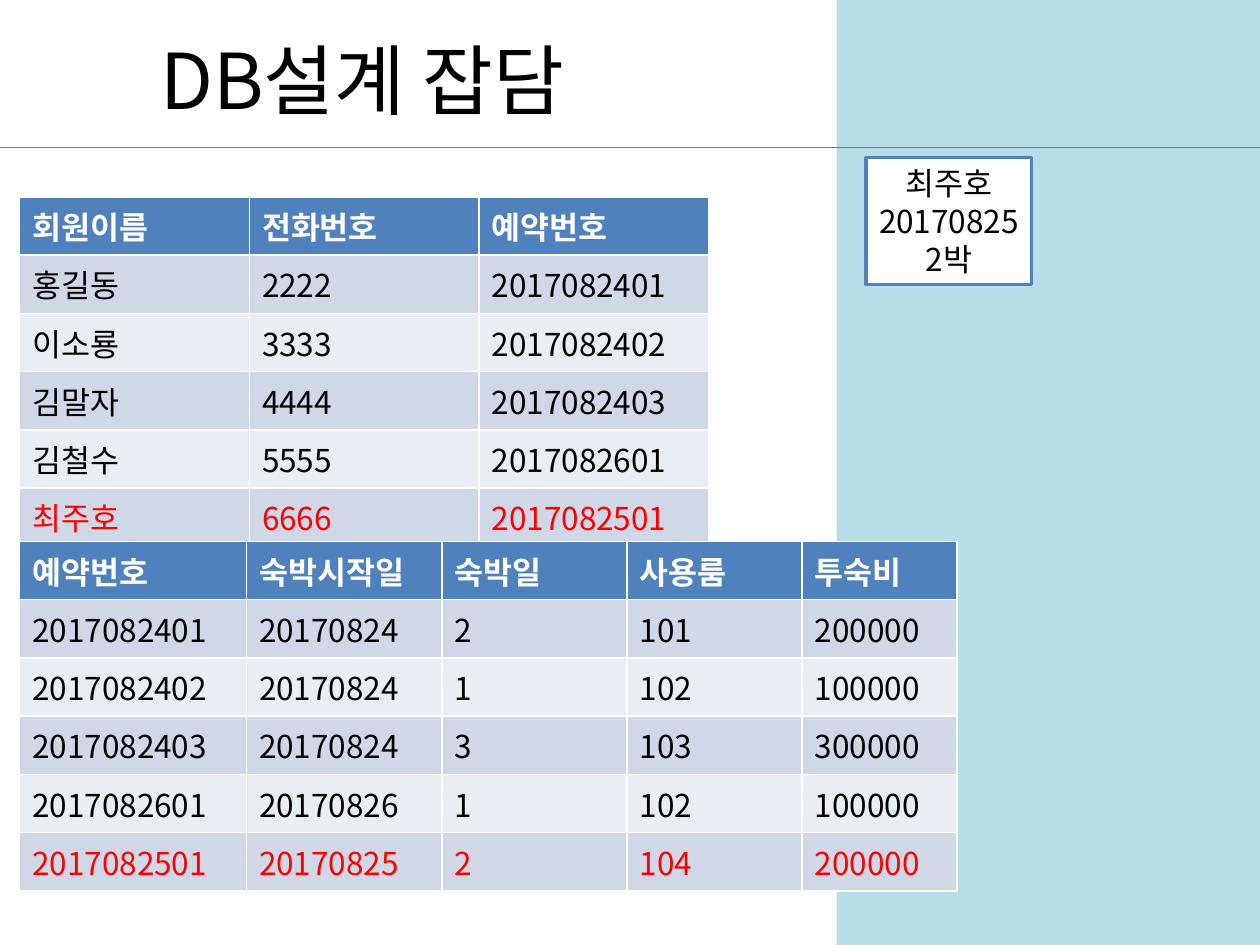
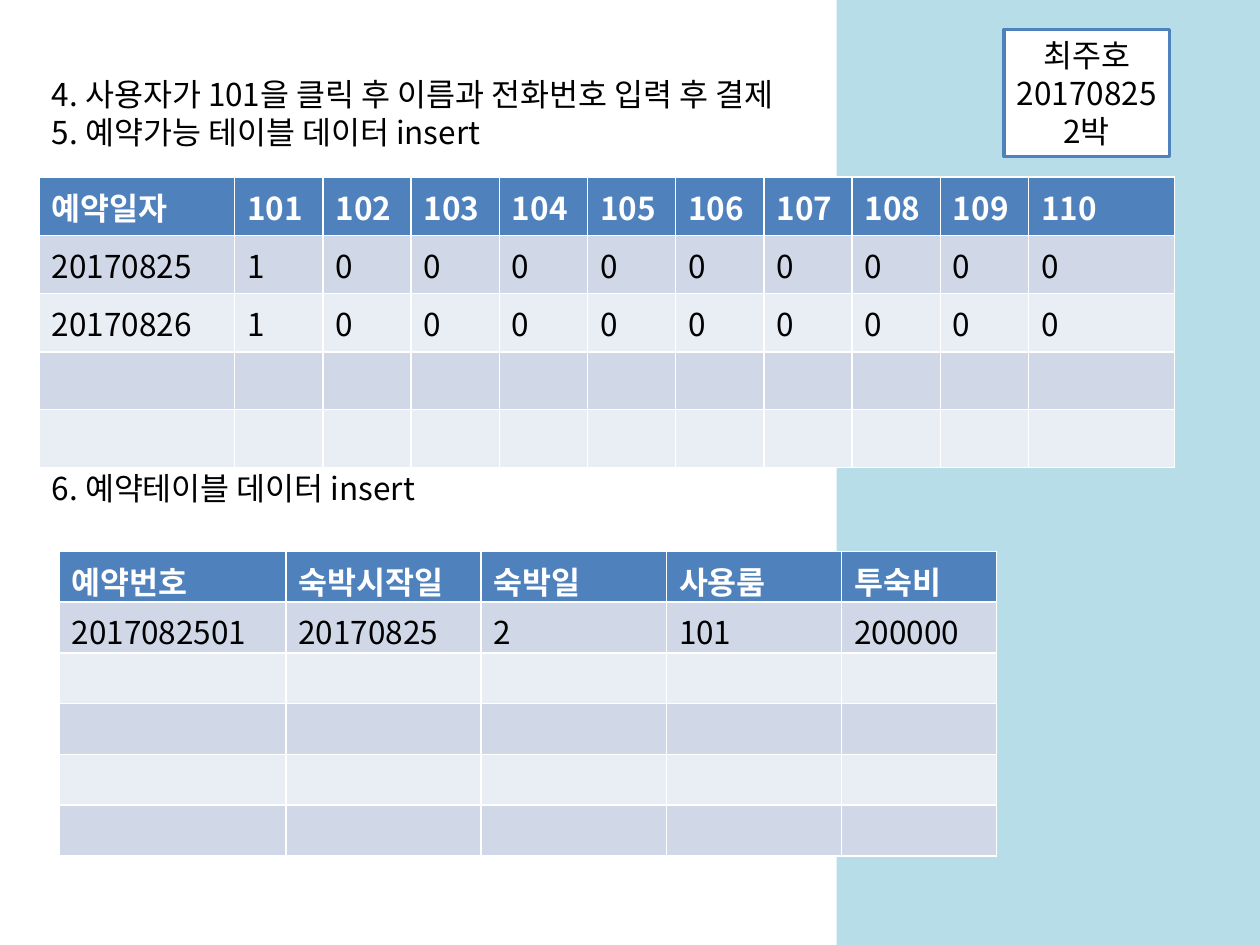
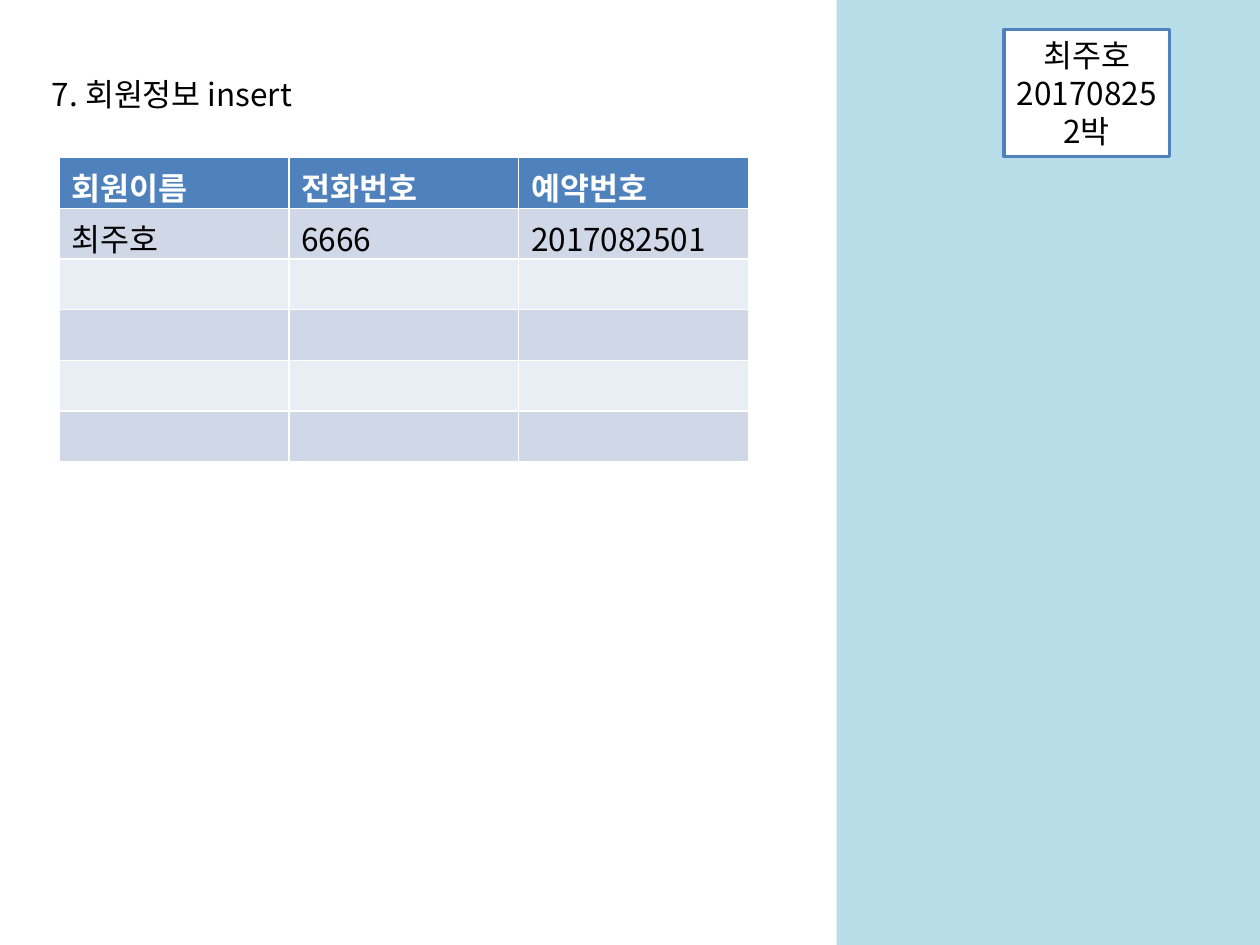
from pptx import Presentation
from pptx.dml.color import RGBColor
from pptx.enum.shapes import MSO_CONNECTOR, MSO_SHAPE
from pptx.enum.text import MSO_ANCHOR, PP_ALIGN
from pptx.oxml.ns import qn
from pptx.util import Inches, Pt
from lxml import etree

RECT = MSO_SHAPE.RECTANGLE
STRAIGHT = MSO_CONNECTOR.STRAIGHT
LEFT, CENTER = PP_ALIGN.LEFT, PP_ALIGN.CENTER
MIDDLE = MSO_ANCHOR.MIDDLE

FONT = "Noto Sans CJK KR"
COLORS = {
    "panel": "B7DEE8", "rule": "4B7EBC", "accent": "4F81BD",
    "band": "D0D8E8", "band_alt": "E9EDF4",
    "text": "000000", "white": "FFFFFF", "new": "FF0000",
}
COLS, ROWS = 64, 48
TITLE_ONLY, BLANK = 5, 6

MEMBER_HEAD = ["회원이름", "전화번호", "예약번호"]
MEMBER_COLS = [11.67] * 3
BOOKING_HEAD = ["예약번호", "숙박시작일", "숙박일", "사용룸", "투숙비"]
BOOKING_COLS = [11.52, 9.92, 9.41, 8.9, 7.87]
ROOMS = [str(room) for room in range(101, 111)]
ROOM_COLS = [9.92] + [4.48] * 9 + [7.42]
ROW, TALL_ROW = 2.58, 2.94
REQUEST = ["최주호", "20170825", "2박"]


class Deck:
    """Holds the shared style and the current slide; lengths are in grid units."""

    def __init__(self):
        self.prs = Presentation()
        self.prs.slide_width, self.prs.slide_height = Inches(10), Inches(7.5)
        self.s = None

    def x(self, cols):
        return round(self.prs.slide_width * cols / COLS)

    def y(self, rows):
        return round(self.prs.slide_height * rows / ROWS)

    def box(self, left, top, width, height):
        return self.x(left), self.y(top), self.x(width), self.y(height)

    def color(self, name):
        return RGBColor.from_string(COLORS[name])

    def style(self, tf, size=18, color="text", bold=False, align=LEFT):
        for p in tf.paragraphs:
            p.alignment = align
            for r in p.runs:
                r.font.name, r.font.size, r.font.bold = FONT, Pt(size), bold
                r.font.color.rgb = self.color(color)
                ea = etree.SubElement(r.font._element, qn("a:ea"))
                ea.set("typeface", FONT)

    def new_slide(self, layout=BLANK):
        """Starts a slide with the side panel behind everything else."""
        self.s = self.prs.slides.add_slide(self.prs.slide_layouts[layout])
        panel = self.rect(42.5, 0, 21.5, ROWS, "panel")
        self.s.shapes._spTree.insert(2, panel._element)

    def title(self, text):
        sp = self.s.shapes.title
        sp.left, sp.top, sp.width, sp.height = self.box(7.5, 1, 56.5, 6)
        sp.text_frame.text = text
        sp.text_frame.vertical_anchor = MIDDLE
        self.style(sp.text_frame, size=44)

    def rule(self, row):
        y = self.y(row)
        line = self.s.shapes.add_connector(STRAIGHT, 0, y, self.x(COLS), y)
        line.line.color.rgb = self.color("rule")
        line.line.width = Pt(0.75)
        etree.SubElement(line._element.spPr, qn("a:effectLst"))

    def rect(self, left, top, width, height, fill, line=None):
        sp = self.s.shapes.add_shape(RECT, *self.box(left, top, width, height))
        sp.shadow.inherit = False
        sp.fill.solid()
        sp.fill.fore_color.rgb = self.color(fill)
        if line:
            sp.line.color.rgb = self.color(line)
            sp.line.width = Pt(2)
        else:
            sp.line.fill.background()
        return sp

    def request_note(self, left, top):
        tf = self.rect(left, top, 8.4, 6.45, "white", "accent").text_frame
        tf.word_wrap = False
        tf.text = "\n".join(REQUEST)
        self.style(tf, align=CENTER)

    def steps(self, top, width, *lines):
        sp = self.s.shapes.add_textbox(*self.box(2, top, width, 2 * len(lines) + 0.55))
        tf = sp.text_frame
        tf.word_wrap = True
        tf.text = "\n".join(lines)
        self.style(tf)

    def table(self, left, top, widths, head, rows, blank=0, row=ROW, mark_last=False):
        """Draws a banded table, with blank rows below and the last row red if marked."""
        data = [head] + rows + [[""] * len(head)] * blank
        frame = self.s.shapes.add_table(
            len(data), len(head), *self.box(left, top, sum(widths), row * len(data)))
        tbl = frame.table
        for column, width in zip(tbl.columns, widths):
            column.width = self.x(width)
        for i, values in enumerate(data):
            fill = "accent" if i == 0 else "band" if i % 2 else "band_alt"
            marked = mark_last and i == len(data) - 1
            color = "white" if i == 0 else "new" if marked else "text"
            for cell, value in zip(tbl.rows[i].cells, values):
                cell.fill.solid()
                cell.fill.fore_color.rgb = self.color(fill)
                cell.text_frame.text = value
                self.style(cell.text_frame, color=color, bold=i == 0)


def design_slide(deck):
    deck.new_slide(TITLE_ONLY)
    deck.title("DB설계 잡담")
    deck.rule(7.5)
    deck.request_note(44, 8)
    deck.table(1, 10, MEMBER_COLS, MEMBER_HEAD, [
        ["홍길동", "2222", "2017082401"],
        ["이소룡", "3333", "2017082402"],
        ["김말자", "4444", "2017082403"],
        ["김철수", "5555", "2017082601"],
        ["최주호", "6666", "2017082501"],
    ], mark_last=True)
    deck.table(1, 27.5, BOOKING_COLS, BOOKING_HEAD, [
        ["2017082401", "20170824", "2", "101", "200000"],
        ["2017082402", "20170824", "1", "102", "100000"],
        ["2017082403", "20170824", "3", "103", "300000"],
        ["2017082601", "20170826", "1", "102", "100000"],
        ["2017082501", "20170825", "2", "104", "200000"],
    ], mark_last=True)


def booking_slide(deck):
    deck.new_slide()
    availability = [[day, "1"] + ["0"] * 9 for day in ("20170825", "20170826")]
    deck.table(2, 9, ROOM_COLS, ["예약일자"] + ROOMS, availability,
               blank=2, row=TALL_ROW)
    deck.steps(3.5, 42.7, "4. 사용자가 101을 클릭 후 이름과 전화번호 입력 후 결제",
               "5. 예약가능 테이블 데이터 insert")
    deck.request_note(51, 1.5)
    deck.steps(23.5, 21.8, "6. 예약테이블 데이터 insert")
    deck.table(3, 28, BOOKING_COLS, BOOKING_HEAD,
               [["2017082501", "20170825", "2", "101", "200000"]], blank=4)


def member_slide(deck):
    deck.new_slide()
    deck.steps(3.5, 14.2, "7. 회원정보 insert")
    deck.request_note(51, 1.5)
    deck.table(3, 8, MEMBER_COLS, MEMBER_HEAD,
               [["최주호", "6666", "2017082501"]], blank=4)


def main():
    deck = Deck()
    for build in (design_slide, booking_slide, member_slide):
        build(deck)
    deck.prs.save("out.pptx")


if __name__ == "__main__":
    main()
